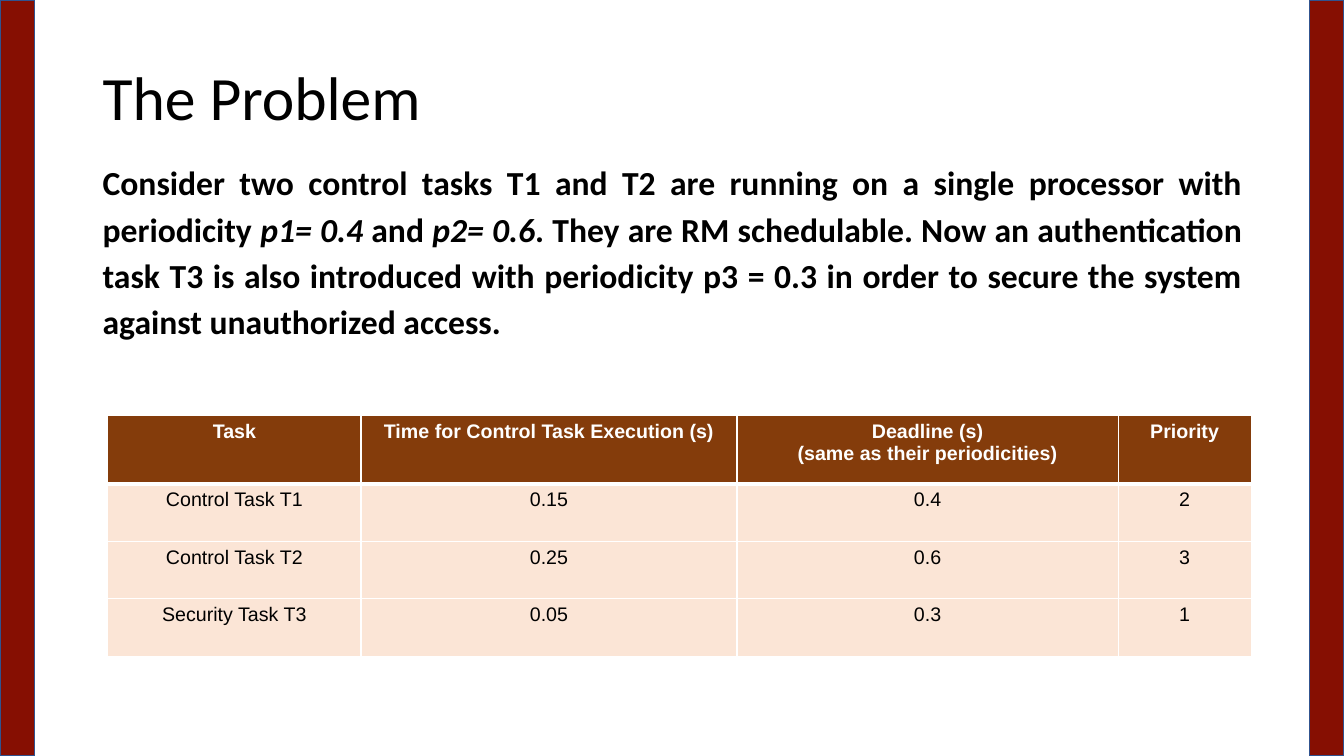
from lxml import etree
from pptx import Presentation
from pptx.dml.color import RGBColor
from pptx.enum.shapes import MSO_SHAPE
from pptx.enum.text import MSO_ANCHOR, PP_ALIGN
from pptx.oxml.ns import qn
from pptx.util import Inches, Pt

BLACK = RGBColor(0x00, 0x00, 0x00)
WHITE = RGBColor(0xFF, 0xFF, 0xFF)
BAR_RED = RGBColor(0x86, 0x0F, 0x02)
BAR_LINE = RGBColor(0x31, 0x53, 0x8F)
HEADER_BROWN = RGBColor(0x84, 0x3C, 0x0B)
ROW_PEACH = RGBColor(0xFB, 0xE5, 0xD6)


def add_text(p, text, size, font="Calibri", color=BLACK, bold=False,
             italic=False, align=PP_ALIGN.LEFT):
    p.alignment = align
    r = p.add_run()
    r.text = text
    r.font.size = Pt(size)
    r.font.name = font
    r.font.color.rgb = color
    r.font.bold = bold
    r.font.italic = italic


def set_borders(cell, bottom):
    """Draw white cell borders, 1 pt wide except for the bottom one."""
    tcPr = cell._tc.get_or_add_tcPr()
    for i, (side, width) in enumerate(
            [("lnL", 1), ("lnR", 1), ("lnT", 1), ("lnB", bottom)]):
        ln = etree.Element(qn(f"a:{side}"), w=str(Pt(width)))
        fill = etree.SubElement(ln, qn("a:solidFill"))
        etree.SubElement(fill, qn("a:srgbClr"), val=str(WHITE))
        tcPr.insert(i, ln)


prs = Presentation()
prs.slide_width = Inches(13.33)
prs.slide_height = Inches(7.5)
s = prs.slides.add_slide(prs.slide_layouts[6])

# Side bars
for left in (0, 12.99):
    sp = s.shapes.add_shape(MSO_SHAPE.RECTANGLE, Inches(left), 0,
                            Inches(0.34), prs.slide_height)
    sp.shadow.inherit = False
    sp.fill.solid()
    sp.fill.fore_color.rgb = BAR_RED
    sp.line.color.rgb = BAR_LINE
    sp.line.width = Pt(1)

# Title
tf = s.shapes.add_textbox(Inches(0.92), Inches(0.27),
                          Inches(11.5), Inches(1.45)).text_frame
tf.word_wrap = True
tf.vertical_anchor = MSO_ANCHOR.MIDDLE
p = tf.paragraphs[0]
p.line_spacing = 0.9
add_text(p, "The Problem", 44)

# Problem statement
tf = s.shapes.add_textbox(Inches(0.92), Inches(1.45),
                          Inches(11.5), Inches(5.29)).text_frame
tf.word_wrap = True
tf.margin_top = tf.margin_bottom = Inches(0.1)
p = tf.paragraphs[0]
p.line_spacing = 1.15
p.space_before = Pt(12)
statement = [
    ("Consider two control tasks T1 and T2 are running on a single processor "
     "with periodicity", False),
    (" p1= 0.4", True),
    (" and ", False),
    ("p2= 0.6", True),
    (". They are RM schedulable. Now an authentication task T3 is also "
     "introduced with periodicity p3 = 0.3 in order to secure the system "
     "against unauthorized access.", False),
]
for text, italic in statement:
    add_text(p, text, 24, bold=True, italic=italic, align=PP_ALIGN.JUSTIFY)

# Task table
rows = [
    ["Task", "Time for Control Task Execution (s)",
     "Deadline (s)\n(same as their periodicities)", "Priority"],
    ["Control Task T1", "0.15", "0.4", "2"],
    ["Control Task T2", "0.25", "0.6", "3"],
    ["Security Task T3", "0.05", "0.3", "1"],
]
col_widths = [2.51, 3.73, 3.78, 1.32]
row_heights = [0.68, 0.57, 0.57, 0.57]
table = s.shapes.add_table(len(rows), len(col_widths), Inches(1.07), Inches(4.12),
                           Inches(sum(col_widths)),
                           Inches(sum(row_heights))).table
for col, width in zip(table.columns, col_widths):
    col.width = Inches(width)
for i, (values, height) in enumerate(zip(rows, row_heights)):
    table.rows[i].height = Inches(height)
    header = i == 0
    for j, value in enumerate(values):
        cell = table.cell(i, j)
        cell.fill.solid()
        cell.fill.fore_color.rgb = HEADER_BROWN if header else ROW_PEACH
        set_borders(cell, bottom=3 if header else 1)
        tf = cell.text_frame
        for k, line in enumerate(value.split("\n")):
            p = tf.add_paragraph() if k else tf.paragraphs[0]
            add_text(p, line, 14, font="Arial", bold=header,
                     color=WHITE if header else BLACK, align=PP_ALIGN.CENTER)

prs.save("out.pptx")
